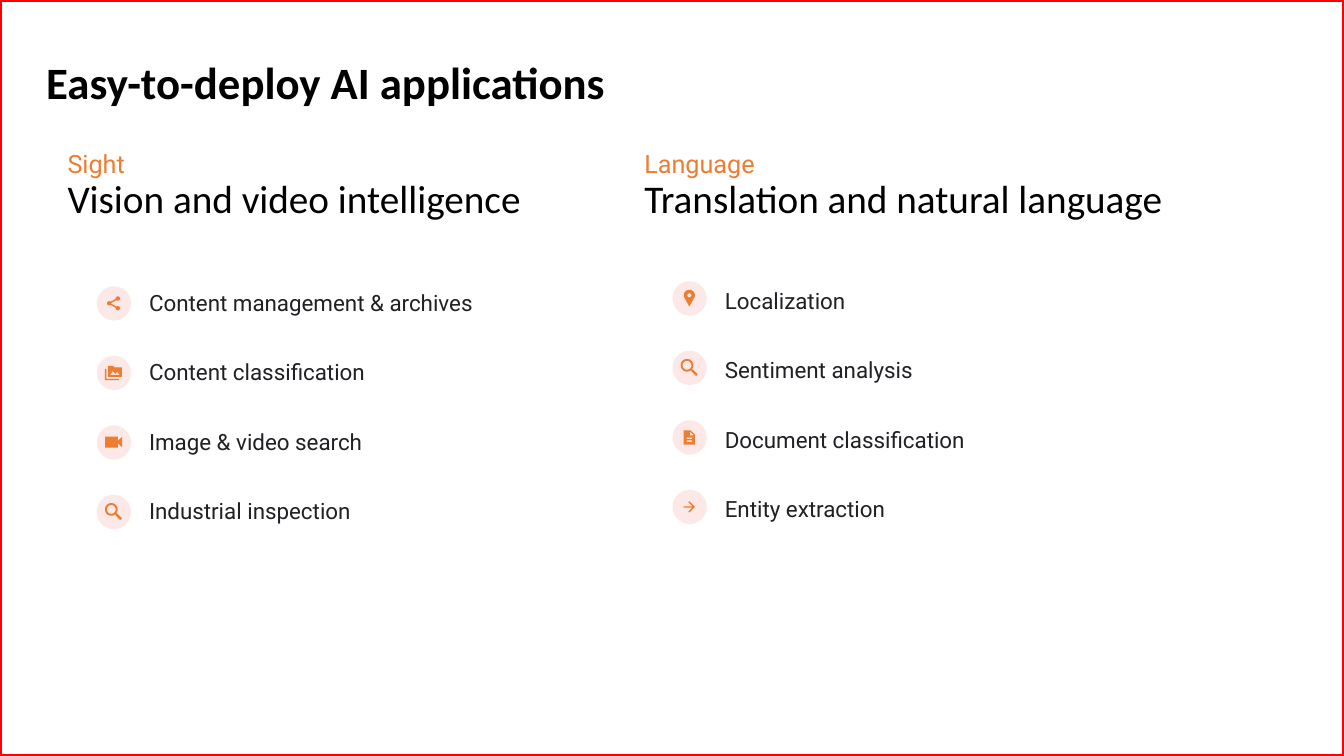
from dataclasses import dataclass
from math import cos, radians, sin

from pptx import Presentation
from pptx.dml.color import RGBColor
from pptx.enum.shapes import MSO_SHAPE
from pptx.enum.text import MSO_ANCHOR
from pptx.util import Inches, Pt

RECT, OVAL = MSO_SHAPE.RECTANGLE, MSO_SHAPE.OVAL
TOP, MIDDLE = MSO_ANCHOR.TOP, MSO_ANCHOR.MIDDLE


@dataclass(frozen=True)
class Theme:
    """Colours, fonts and type sizes of the slide."""
    accent: str = "ED7D31"
    disc: str = "FCE8E6"
    frame: str = "FF0000"
    ink: str = "000000"
    body: str = "202124"
    head_font: str = "Calibri"
    body_font: str = "Roboto"
    title: int = 32
    head: int = 28
    kicker: int = 18
    item: int = 16


THEME = Theme()
WIDE, HIGH = 13.33, 7.5
DISC, STEP = 0.34, 0.69


def color(code):
    """Return the colour for a hex code."""
    return RGBColor.from_string(code)


def arc(x, y, r, start=0, end=360):
    """Return points along an arc, angles in degrees."""
    count = 24
    turns = [radians(start + (end - start) * i / count) for i in range(count + 1)]
    return [(x + r * cos(t), y + r * sin(t)) for t in turns]


def block(x, y, wide, high):
    """Return the corners of a rectangle."""
    return [(x, y), (x + wide, y), (x + wide, y + high), (x, y + high)]


ICONS = {
    "share": [arc(20.9, 12.2, 2.1, 171, 491) + arc(12.3, 17, 2.1, -9, 9)
              + arc(20.9, 21.8, 2.1, 229, 549) + arc(12.3, 17, 2.1, 49, 311)],
    "photo": [[(8, 13), (9.5, 13), (9.5, 22.8), (22, 22.8), (22, 24.2), (8, 24.2)],
              [(11, 10), (16, 10), (17.5, 11.5), (24.8, 11.5), (24.8, 21), (11, 21)],
              [(13, 19), (16, 15), (18.5, 18), (20, 16), (23, 19)]],
    "video": [[(8.2, 11.2), (21, 11.2), (21, 15.2), (25, 11.5), (25, 21.7),
               (21, 18), (21, 22.2), (8.2, 22.2)]],
    "search": [arc(14.4, 14.4, 6.3, 55, 395)
               + [(19.7, 18.6), (20.3, 18.6), (25, 23.4), (23.4, 25),
                  (18.6, 20.3), (18.6, 19.7)],
               arc(14.4, 14.4, 4.4)],
    "pin": [arc(16.7, 14, 5.5, 160, 380) + [(16.7, 25)], arc(16.7, 14, 2)],
    "page": [[(11, 10), (18, 10), (22.3, 14.3), (22.3, 24), (11, 24)],
             block(14, 20, 5.5, 1.3), block(14, 17.2, 5.5, 1.3),
             [(17.4, 11), (21.2, 14.9), (17.4, 14.9)]],
    "arrow": [[(16.8, 11.4), (15.8, 12.4), (19.7, 16.3), (11, 16.3), (11, 17.7),
               (19.7, 17.7), (15.8, 21.6), (16.8, 22.6), (22.4, 17)]],
}


def paint(shape, code):
    """Give a shape a flat fill and no line."""
    shape.shadow.inherit = False
    shape.fill.solid()
    shape.fill.fore_color.rgb = color(code)
    shape.line.fill.background()


def write(slide, box, lines, pad, anchor=TOP, space=1.0, bold=False):
    """Add a text box with one run for each (text, size, font, colour) line."""
    frame = slide.shapes.add_textbox(*map(Inches, box)).text_frame
    frame.word_wrap = True
    frame.vertical_anchor = anchor
    (frame.margin_left, frame.margin_top,
     frame.margin_right, frame.margin_bottom) = map(Inches, pad)
    for i, (text, size, font, code) in enumerate(lines):
        para = frame.add_paragraph() if i else frame.paragraphs[0]
        para.line_spacing = space
        run = para.add_run()
        run.text = text
        run.font.size, run.font.name, run.font.bold = Pt(size), font, bold
        run.font.color.rgb = color(code)


def draw_icon(slide, left, top, name):
    """Draw an icon on its disc, outlines in hundredths of an inch."""
    disc = slide.shapes.add_shape(OVAL, *map(Inches, (left, top, DISC, DISC)))
    paint(disc, THEME.disc)
    pen = None
    for part in ICONS[name]:
        spots = [(Inches(left + x / 100), Inches(top + y / 100)) for x, y in part]
        if pen is None:
            pen = slide.shapes.build_freeform(*spots[0])
        else:
            pen.move_to(*spots[0])
        pen.add_line_segments(spots[1:], close=True)
    paint(pen.convert_to_shape(), THEME.accent)


def draw_frame(slide, box):
    """Draw the outline around the slide."""
    frame = slide.shapes.add_shape(RECT, *map(Inches, box))
    frame.shadow.inherit = False
    frame.fill.background()
    frame.line.color.rgb = color(THEME.frame)
    frame.line.width = Pt(3)


def draw_title(slide, box):
    """Write the slide title."""
    line = ("Easy-to-deploy AI applications", THEME.title, THEME.head_font, THEME.ink)
    write(slide, box, [line], (0.1, 0.05, 0.1, 0.05), bold=True)


def draw_head(slide, box, kicker, text):
    """Write a column's heading under its kicker."""
    lines = [(kicker, THEME.kicker, THEME.body_font, THEME.accent),
             (text, THEME.head, THEME.head_font, THEME.ink)]
    write(slide, box, lines, (0, 0, 0.1, 0), space=0.9)


def draw_list(slide, box, high, items):
    """Place icon rows down a box, with labels of the given height."""
    left, top, wide = box
    for i, (icon, text) in enumerate(items):
        y = top + i * STEP
        draw_icon(slide, left, y, icon)
        line = (text, THEME.item, THEME.body_font, THEME.body)
        write(slide, (left + 0.42, y + 0.04, wide - 0.42, high), [line],
              (0.1, 0, 0.1, 0), MIDDLE, 1.15)


def main():
    """Build and save the slide."""
    deck = Presentation()
    deck.slide_width, deck.slide_height = Inches(WIDE), Inches(HIGH)
    slide = deck.slides.add_slide(deck.slide_layouts[6])
    draw_frame(slide, (0, 0, WIDE, HIGH))
    draw_title(slide, (0.36, 0.49, 9.48, 0.64))
    draw_head(slide, (0.67, 1.51, 5.6, 0.9), "Sight", "Vision and video intelligence")
    draw_list(slide, (0.96, 2.84, 4.54), 0.2, [
        ("share", "Content management & archives"),
        ("photo", "Content classification"),
        ("video", "Image & video search"),
        ("search", "Industrial inspection")])
    draw_head(slide, (6.39, 1.51, 6.4, 0.9), "Language",
              "Translation and natural language")
    draw_list(slide, (6.67, 2.79, 4.01), 0.26, [
        ("pin", "Localization"),
        ("search", "Sentiment analysis"),
        ("page", "Document classification"),
        ("arrow", "Entity extraction")])
    deck.save("out.pptx")


if __name__ == "__main__":
    main()
